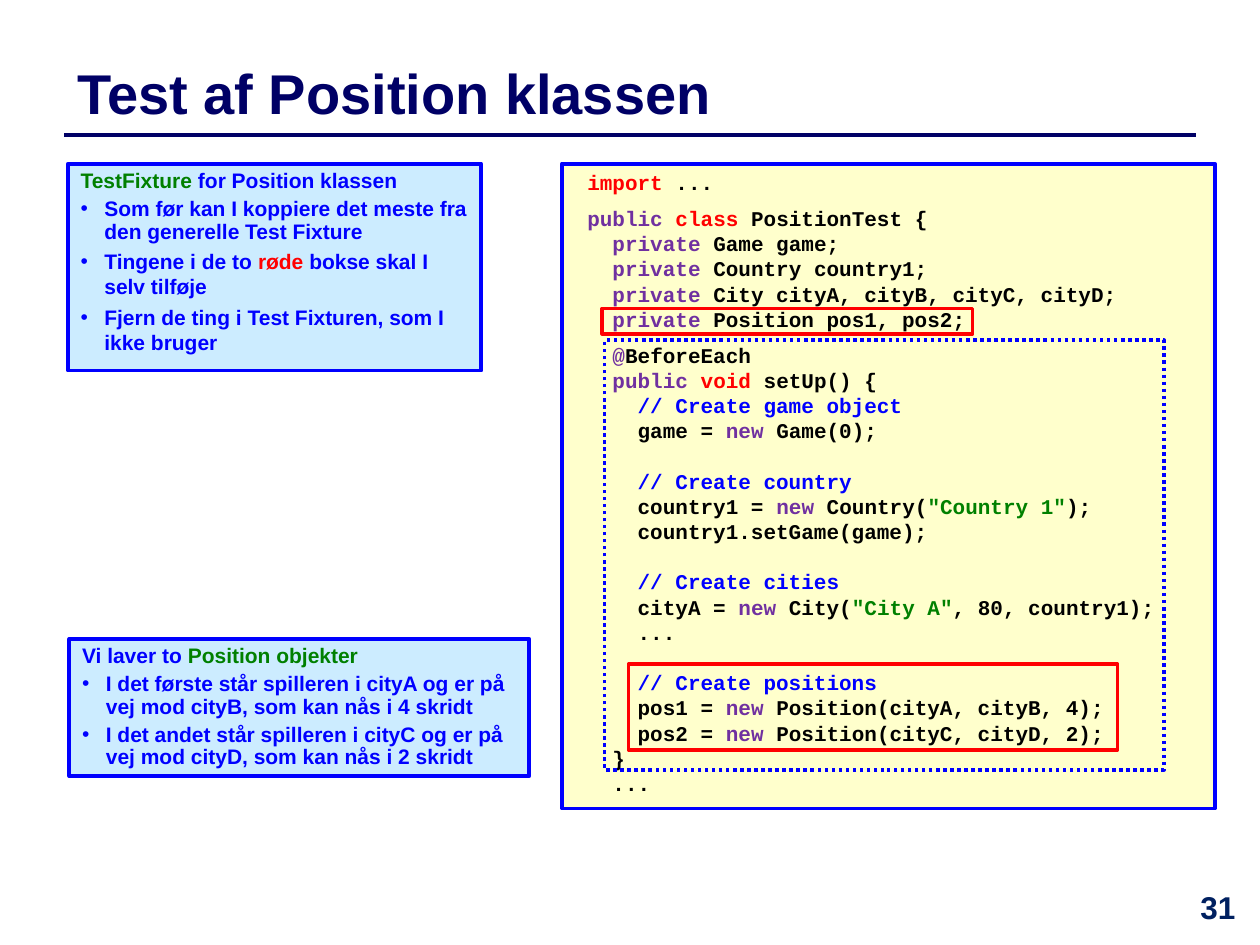
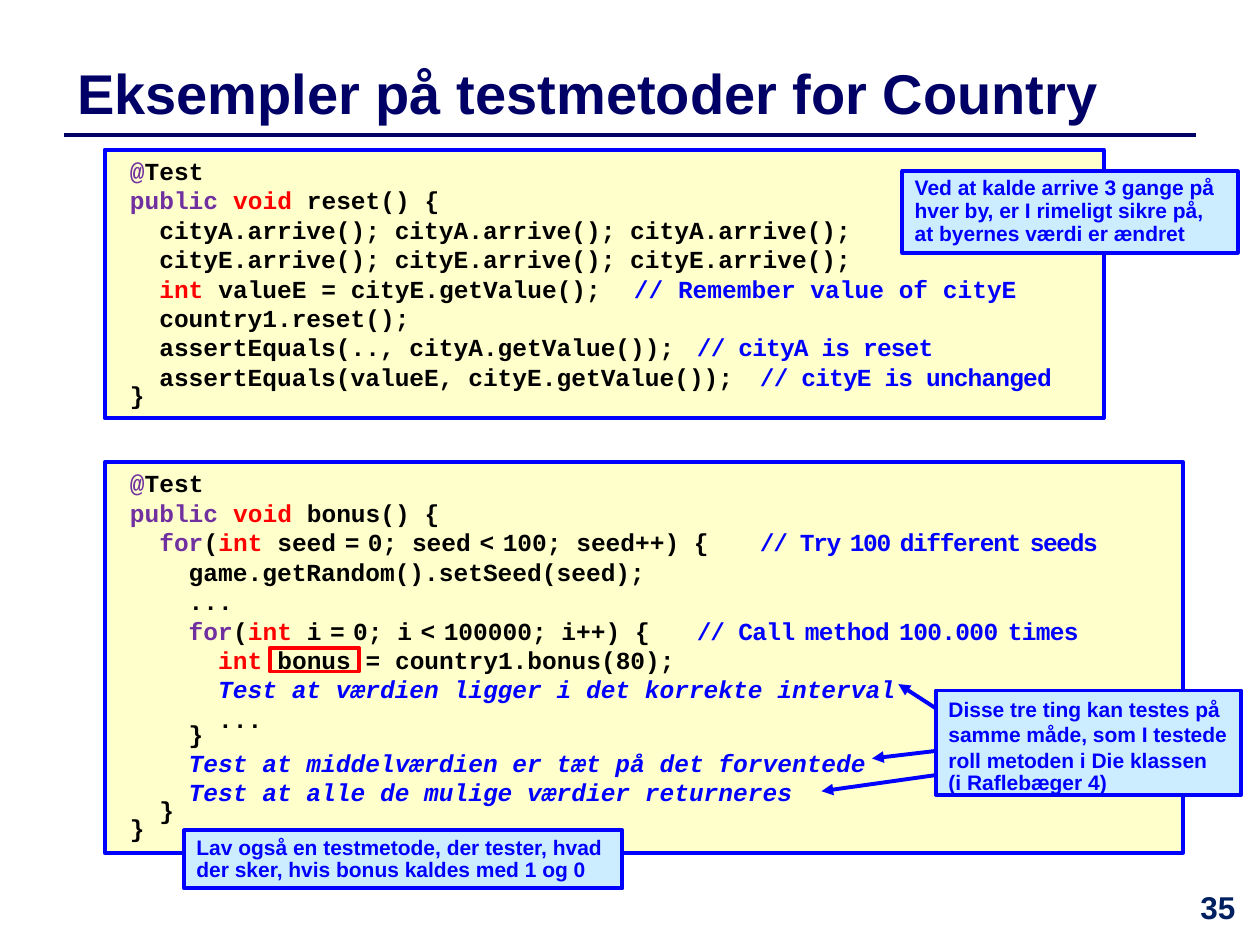
"""Builds two slides about unit testing: a test fixture and sample test methods."""
from dataclasses import dataclass

from lxml import etree
from pptx import Presentation
from pptx import util as u
from pptx.dml.color import RGBColor
from pptx.enum import dml, shapes, text
from pptx.oxml.ns import qn


@dataclass(frozen=True)
class Theme:
    """Colours, fonts and type sizes shared by the slides."""
    navy: str = "000066"
    number: str = "002060"
    blue: str = "0000FF"
    red: str = "FF0000"
    green: str = "008000"
    purple: str = "7030A0"
    black: str = "000000"
    code_fill: str = "FFFFCC"
    note_fill: str = "CCECFF"
    sans: str = "Arial"
    mono: str = "Courier New"
    title_size: int = 32
    number_size: int = 18
    note_size: int = 12
    small_code: int = 12
    large_code: int = 14
    leading: float = 1.2
    box_line: float = 2.25
    thin_line: float = 2


@dataclass(frozen=True)
class Ink:
    """Look of one run; size 0 means the size of the box."""
    color: str
    size: int = 0
    spacing: int = 0
    italic: bool = False


@dataclass(frozen=True)
class Line:
    """One paragraph; each ~ is followed by the key of an ink."""
    markup: str
    pitch: float = 1
    before: float = 0
    tab: float = 0
    bullet: bool = False


T = Theme()
INKS = {
    "k": Ink(T.black), "p": Ink(T.purple), "r": Ink(T.red),
    "b": Ink(T.blue), "g": Ink(T.green), "i": Ink(T.blue, italic=True),
    "n": Ink(T.navy), "m": Ink(T.number), "s": Ink(T.black, size=8),
    "t": Ink(T.blue, spacing=-80), "u": Ink(T.blue, size=8, spacing=-80),
    "v": Ink(T.blue, spacing=-40), "w": Ink(T.blue, size=9, spacing=-40),
    "x": Ink(T.blue, spacing=-50),
}
BLANK_ROW = T.small_code * T.leading
BULLET_INDENT = u.Cm(0.48)

FIXTURE_NOTE = [
    Line("~gTestFixture~b for Position klassen", 0.9),
    Line("~bSom før kan I koppiere det meste fra den generelle Test Fixture", 0.9, 3, bullet=True),
    Line("~bTingene i de to ~rrøde~b bokse skal I selv tilføje", 1, 3, bullet=True),
    Line("~bFjern de ting i Test Fixturen, som I ikke bruger", 1, 3, bullet=True),
]
OBJECTS_NOTE = [
    Line("~bVi laver to ~gPosition objekter", 0.9),
    Line("~bI det første står spilleren i cityA og er på vej mod cityB, som kan nås i 4 skridt",
         0.9, 3, bullet=True),
    Line("~bI det andet står spilleren i cityC og er på vej mod cityD, som kan nås i 2 skridt",
         0.9, 3, bullet=True),
]
FIXTURE_CODE = [
    Line("~rimport ~k..."),
    Line("~ppublic ~rclass ~kPositionTest {", before=6),
    Line("~p  private ~kGame game;"),
    Line("~p  private ~kCountry country1;"),
    Line("~p  private ~kCity cityA, cityB, cityC, cityD;"),
    Line("~p  private~k Position pos1, pos2;"),
    Line("~p  @~kBeforeEach", before=6),
    Line("~p  public ~rvoid ~ksetUp() {"),
    Line("~b    // Create game object"),
    Line("~k    game = ~pnew~k Game(0);"),
    Line("~b    // Create country", before=BLANK_ROW),
    Line('~k    country1 = ~pnew~k Country(~g"Country 1"~k);'),
    Line("~k    country1.setGame(game);"),
    Line("~b    // Create cities", before=BLANK_ROW),
    Line('~k    cityA = ~pnew~k City(~g"City A"~k, 80, country1);'),
    Line("~k    ..."),
    Line("~b    // Create positions", before=BLANK_ROW),
    Line("~k    pos1 = ~pnew~k Position(cityA, cityB, 4);"),
    Line("~k    pos2 = ~pnew~k Position(cityC, cityD, 2);"),
    Line("~k  }"),
    Line("~k  ..."),
]
RESET_CODE = [
    Line("~p@~kTest"),
    Line("~ppublic ~rvoid ~kreset() {"),
    Line("~k  cityA.arrive(); cityA.arrive(); cityA.arrive();"),
    Line("~k  cityE.arrive(); cityE.arrive(); cityE.arrive();"),
    Line("~r  int ~kvalueE = cityE.getValue();\t~b// Remember value of cityE", tab=11),
    Line("~k  country1.reset();"),
    Line("~k  assertEquals(.., cityA.getValue());\t~x// cityA is reset", tab=12.78),
    Line("~k  assertEquals(valueE, cityE.getValue());\t~x// cityE is unchanged", tab=12.78),
    Line("~k}", 0.6),
]
BONUS_CODE = [
    Line("~p@~kTest"),
    Line("~ppublic ~rvoid ~kbonus() {"),
    Line("~p  for~k(~rint~k seed~s ~k=~s ~k0; seed~s ~k<~s ~k100; seed++) {\t"
         "~t// Try~u ~t100~u ~tdifferent~u ~tseeds", tab=12.86),
    Line("~k    game.getRandom().setSeed(seed);"),
    Line("~k    ..."),
    Line("~p    for~k(~rint ~ki~s ~k=~s ~k0; i~s ~k<~s ~k100000; i++) {\t"
         "~t// ~vCall~w ~vmethod~w ~v100.000~w ~vtimes", tab=12.86),
    Line("~r      int ~kbonus = country1.bonus(80);"),
    Line("~i      Test at værdien ligger i det korrekte interval"),
    Line("~k      ..."),
    Line("~k    }", 0.5),
    Line("~i    Test at middelværdien er tæt på det forventede"),
    Line("~i    Test at alle de mulige værdier returneres"),
    Line("~k  }", 0.6),
    Line("~k}", 0.6),
]


def rgb(color):
    """Turns a hex colour into an RGBColor."""
    return RGBColor.from_string(color)


def cm(*lengths):
    """Converts centimetres to slide units."""
    return [u.Cm(n) for n in lengths]


def place(sp, box):
    """Moves a shape to left, top, width, height in centimetres."""
    sp.left, sp.top, sp.width, sp.height = cm(*box)


def set_layout(p, line):
    """Sets indents, bullet and tab stop of a paragraph."""
    pPr = p._p.get_or_add_pPr()
    indent = BULLET_INDENT if line.bullet else 0
    pPr.set("marL", str(indent))
    pPr.set("indent", str(-indent))
    if line.bullet:
        etree.SubElement(pPr, qn("a:buFont"), typeface=T.sans)
        etree.SubElement(pPr, qn("a:buChar"), char="•")
    else:
        etree.SubElement(pPr, qn("a:buNone"))
    if line.tab:
        tabs = etree.SubElement(pPr, qn("a:tabLst"))
        etree.SubElement(tabs, qn("a:tab"), pos=str(u.Cm(line.tab)), algn="l")


def write(tf, lines, size, font=T.sans, align=text.PP_ALIGN.LEFT, anchor=text.MSO_ANCHOR.TOP):
    """Fills a text frame with marked-up lines."""
    tf.word_wrap = True
    tf.auto_size = text.MSO_AUTO_SIZE.NONE
    tf.vertical_anchor = anchor
    for i, line in enumerate(lines):
        p = tf.add_paragraph() if i else tf.paragraphs[0]
        set_layout(p, line)
        p.alignment = align
        p.line_spacing = u.Pt(round(size * T.leading * line.pitch, 2))
        p.space_before = u.Pt(line.before)
        for piece in line.markup.split("~")[1:]:
            ink = INKS[piece[0]]
            r = p.add_run()
            r.text = piece[1:]
            r.font.name, r.font.bold, r.font.italic = font, True, ink.italic
            r.font.size = u.Pt(ink.size or size)
            r.font.color.rgb = rgb(ink.color)
            if ink.spacing:
                r._r.get_or_add_rPr().set("spc", str(ink.spacing))


def paint(sp, fill, line, width):
    """Sets fill and outline of a shape."""
    if fill:
        sp.fill.solid()
        sp.fill.fore_color.rgb = rgb(fill)
    else:
        sp.fill.background()
    sp.line.color.rgb = rgb(line)
    sp.line.width = u.Pt(width)


def add_box(slide, box, fill=None, line=T.blue, width=T.box_line):
    """Adds a rectangle without shadow."""
    sp = slide.shapes.add_shape(shapes.MSO_SHAPE.RECTANGLE, *cm(*box))
    sp.shadow.inherit = False
    paint(sp, fill, line, width)
    return sp


def add_code(slide, box, lines, size):
    """Adds a box of program code."""
    tf = add_box(slide, box, T.code_fill).text_frame
    tf.margin_left = u.Cm(0.51)
    write(tf, lines, size, T.mono)


def add_note(slide, box, note):
    """Adds a short remark in a blue box."""
    write(add_box(slide, box, T.note_fill).text_frame, [Line("~b" + note, 0.9)], T.note_size)


def fill_list(sp, box, lines):
    """Formats a body placeholder as a boxed list."""
    place(sp, box)
    paint(sp, T.note_fill, T.blue, T.box_line)
    write(sp.text_frame, lines, T.note_size)


def add_frame(slide, box):
    """Outlines a piece of code in red."""
    add_box(slide, box, line=T.red, width=T.thin_line)


def add_line(slide, ends, color, width, arrow=False):
    """Adds a straight line, with an arrowhead at its end if wanted."""
    c = slide.shapes.add_connector(shapes.MSO_CONNECTOR.STRAIGHT, *cm(*ends))
    c.line.color.rgb = rgb(color)
    c.line.width = u.Pt(width)
    if arrow:
        etree.SubElement(c.line._get_or_add_ln(), qn("a:tailEnd"), type="triangle")
    etree.SubElement(c._element.spPr, qn("a:effectLst"))


def start_slide(prs, layout, title, number):
    """Adds a slide with title, rule and slide number."""
    slide = prs.slides.add_slide(prs.slide_layouts.get_by_name(layout))
    sp = slide.shapes.title
    place(sp, (1.3, 0.91, 23.8, 1.9))
    write(sp.text_frame, [Line("~n" + title)], T.title_size, anchor=text.MSO_ANCHOR.MIDDLE)
    add_line(slide, (1.3, 2.72, 24.1, 2.72), T.navy, T.thin_line)
    sp = slide.shapes.add_textbox(*cm(23.7, 17.77, 1.7, 1.27))
    write(sp.text_frame, [Line(f"~m{number}")], T.number_size, align=text.PP_ALIGN.CENTER)
    return slide


def add_fixture_slide(prs):
    """Adds the slide on the test fixture."""
    slide = start_slide(prs, "Two Content", "Test af Position klassen", 31)
    fixture, objects = list(slide.placeholders)[1:]
    fill_list(fixture, (1.37, 3.3, 8.33, 4.17), FIXTURE_NOTE)
    fill_list(objects, (1.4, 12.88, 9.27, 2.77), OBJECTS_NOTE)
    add_code(slide, (11.33, 3.3, 13.16, 13), FIXTURE_CODE, T.small_code)
    add_frame(slide, (12.14, 6.22, 7.47, 0.51))
    add_frame(slide, (12.67, 13.39, 9.86, 1.73))
    setup = add_box(slide, (12.19, 6.86, 11.28, 8.66), width=T.thin_line)
    setup.line.dash_style = dml.MSO_LINE.ROUND_DOT


def add_methods_slide(prs):
    """Adds the slide with two test methods."""
    slide = start_slide(prs, "Title Only", "Eksempler på testmetoder for Country", 35)
    add_code(slide, (2.11, 9.32, 21.74, 7.87), BONUS_CODE, T.large_code)
    add_code(slide, (2.11, 3.02, 20.14, 5.41), RESET_CODE, T.large_code)
    for ends in ((19.1, 14.43, 18.11, 13.79),
                 (19.1, 15.11, 17.58, 15.29),
                 (18.9, 15.62, 16.56, 15.95)):
        add_line(slide, ends, T.blue, T.box_line, arrow=True)
    add_note(slide, (18.87, 13.92, 6.15, 2.11),
             "Disse tre ting kan testes på samme måde, som I testede "
             "roll metoden i Die klassen\n(i Raflebæger 4)")
    add_frame(slide, (5.44, 13.06, 1.8, 0.48))
    add_note(slide, (18.19, 3.45, 6.76, 1.65),
             "Ved at kalde arrive 3 gange på hver by, er I rimeligt sikre på, "
             "at byernes værdi er ændret")
    add_note(slide, (3.71, 16.74, 8.84, 1.17),
             "Lav også en testmetode, der tester, hvad der sker, hvis bonus kaldes med 1 og 0")


def main():
    """Builds and saves the presentation."""
    prs = Presentation()
    prs.slide_width, prs.slide_height = cm(25.4, 19.05)
    add_fixture_slide(prs)
    add_methods_slide(prs)
    prs.save("out.pptx")


if __name__ == "__main__":
    main()
